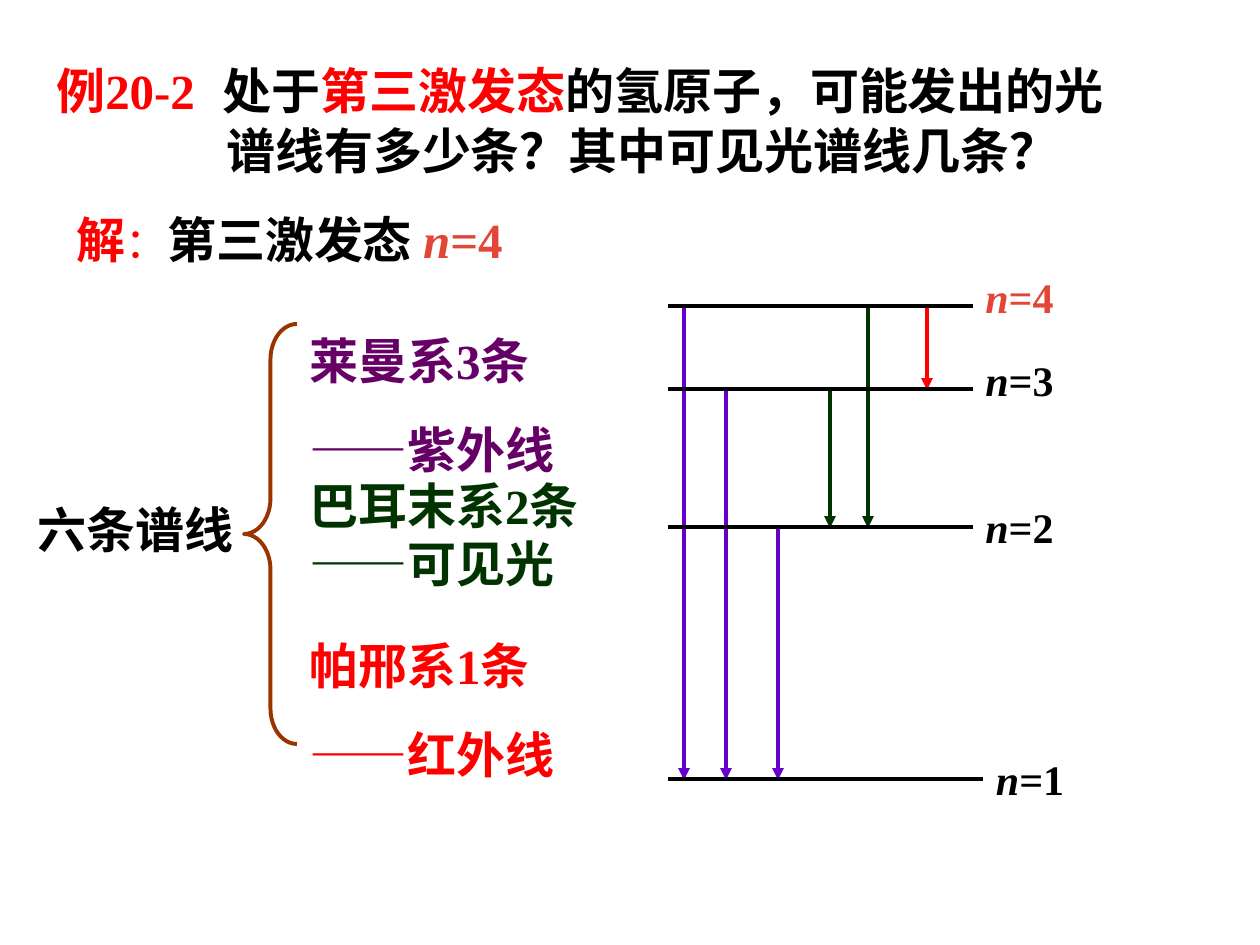
from pptx import Presentation
from pptx import util as u
from pptx.dml.color import RGBColor
from pptx.enum import shapes, text
from pptx.oxml.ns import qn
from lxml import etree

PX = 914400 / 126
FONT = "Times New Roman"
BLACK, RED, CORAL = "000000", "FF0000", "E24636"
PURPLE, GREEN, VIOLET, BROWN = "660066", "003300", "6600CC", "993300"


def px(n):
    return u.Emu(round(n * PX))


def color(code):
    return RGBColor.from_string(code)


def run(para, words, hue, size=28, bold=True, italic=False):
    r = para.add_run()
    r.text = words
    font = r.font
    font.name, font.size = FONT, u.Pt(size)
    font.bold, font.italic = bold, italic
    font.color.rgb = color(hue)


def write(slide, box, paras, before=17.5, wrap=True):
    """Place a text box; each paragraph is a list of run arguments."""
    frame = slide.shapes.add_textbox(*map(px, box)).text_frame
    frame.word_wrap = wrap
    frame.auto_size = text.MSO_AUTO_SIZE.SHAPE_TO_FIT_TEXT
    for i, runs in enumerate(paras):
        para = frame.add_paragraph() if i else frame.paragraphs[0]
        para.space_before = u.Pt(before)
        for args in runs:
            run(para, *args)
    return frame


def line(slide, x1, y1, x2, y2, hue, arrow=False):
    con = slide.shapes.add_connector(
        shapes.MSO_CONNECTOR.STRAIGHT, px(x1), px(y1), px(x2), px(y2))
    con.line.color.rgb = color(hue)
    con.line.width = u.Pt(2.25)
    if arrow:
        tail = etree.SubElement(con.line._get_or_add_ln(), qn("a:tailEnd"))
        tail.set("type", "triangle")
    etree.SubElement(con._element.spPr, qn("a:effectLst"))


def problem(slide, x, y):
    # Question with a hanging indent
    frame = write(slide, (x, y, 1110, 139), [[
        ("例20-2", RED), ("  ", RED, 32), ("处于", BLACK),
        ("第三激发态", RED),
        ("的氢原子，可能发出的光谱线有多少条？其中可见光谱线几条？", BLACK)]])
    props = frame.paragraphs[0]._p.get_or_add_pPr()
    props.set("marL", str(px(170)))
    props.set("indent", str(-px(170)))
    # First step of the answer
    write(slide, (x + 20, y + 156, 604, 72), [[
        ("解", RED), ("：", RED, 24, False), ("第三激发态 ", BLACK),
        ("n", CORAL, 28, True, True), ("=4", CORAL)]])


def series(slide, x, y):
    # Total and brace
    write(slide, (x, y + 169, 229, 72), [[("六条谱线", BLACK)]])
    brace = slide.shapes.add_shape(
        shapes.MSO_SHAPE.LEFT_BRACE, px(x + 219), px(y), px(53), px(420))
    brace.adjustments[0] = 0.67
    brace.shadow.inherit = False
    brace.fill.background()
    brace.line.color.rgb = color(BROWN)
    brace.line.width = u.Pt(2.25)
    # The three series
    left = x + 272
    for top, wide, high, hue, lines in (
            (0, 284, 161, PURPLE, ("莱曼系3条", "——紫外线")),
            (145, 323, 130, GREEN, ("巴耳末系2条——可见光",)),
            (305, 284, 161, RED, ("帕邢系1条", "——红外线"))):
        write(slide, (left, y + top, wide, high),
              [[(words, hue)] for words in lines])


def levels(slide, x, y):
    heights = {4: 0, 3: 83, 2: 221, 1: 473}
    # Jumps: offset, upper level, lower level
    for dx, high, low, hue in (
            (16, 4, 1, VIOLET), (58, 3, 1, VIOLET), (110, 2, 1, VIOLET),
            (259, 4, 3, RED), (200, 4, 2, GREEN), (162, 3, 2, GREEN)):
        line(slide, x + dx, y + heights[high] + 2,
             x + dx, y + heights[low] + 1, hue, True)
    # Level lines and labels, the boxes a little wider than their text
    for n, dy in heights.items():
        ground = n == 1
        line(slide, x, y + dy, x + (315 if ground else 305), y + dy, BLACK)
        hue = CORAL if n == 4 else BLACK
        runs = [("n", hue, 24, True, True), (f"={n}", hue, 24)]
        if ground:
            runs.insert(0, (" ", hue, 24))
        write(slide, (x + 305, y + dy - (41 if n > 2 else 32),
                      109 if ground else 98, 63), [runs], 15, False)


def main():
    deck = Presentation()
    deck.slide_width, deck.slide_height = px(1260), px(945)
    slide = deck.slides.add_slide(deck.slide_layouts[6])
    problem(slide, 44, 47)
    series(slide, 25, 324)
    levels(slide, 668, 306)
    deck.save("out.pptx")


if __name__ == "__main__":
    main()
